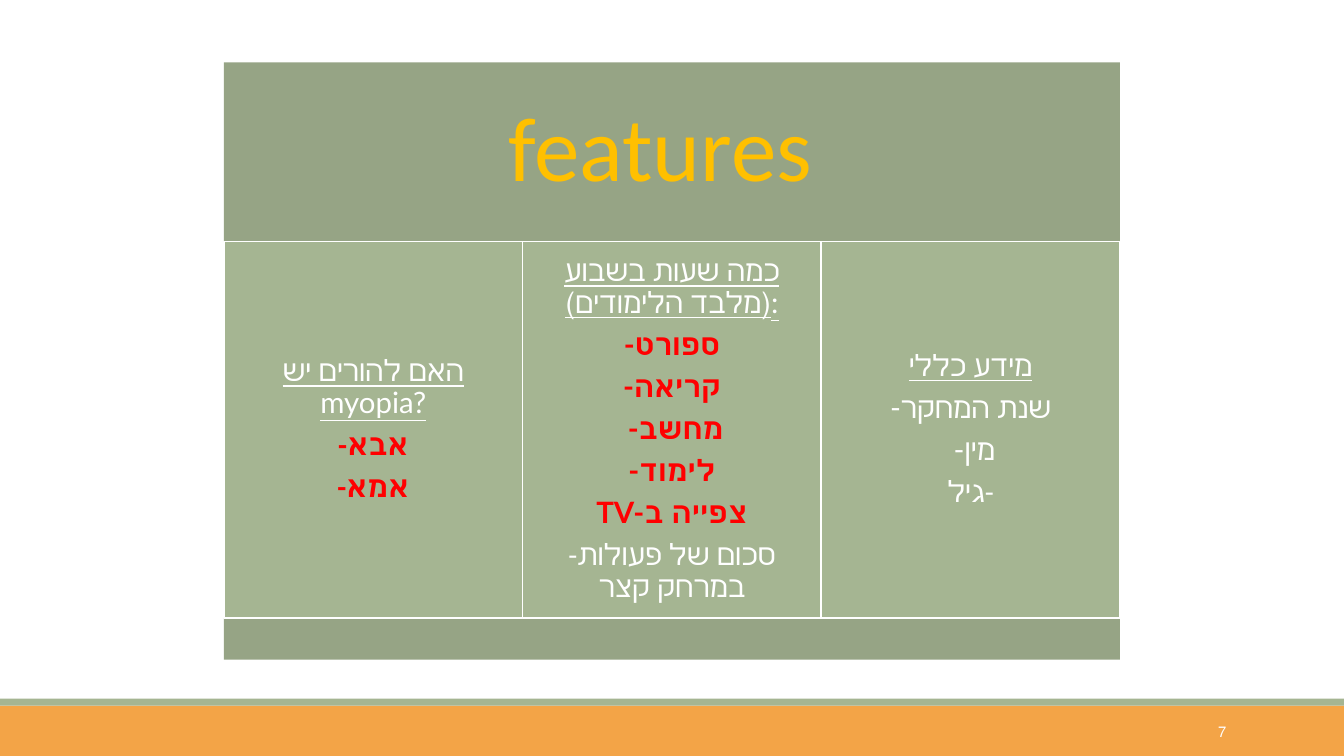
from dataclasses import dataclass

from pptx import Presentation
from pptx.dml.color import RGBColor
from pptx.enum.shapes import MSO_SHAPE as Preset
from pptx.enum.text import MSO_ANCHOR as Anchor, MSO_AUTO_SIZE as AutoSize, PP_ALIGN as Align
from pptx.util import Inches, Pt

WIDTH, HEIGHT = Inches(13.33), Inches(7.5)
COLOURS = {
    "sage": "A5B592",
    "moss": "96A485",
    "orange": "F3A447",
    "gold": "FFC000",
    "red": "FF0000",
    "white": "FFFFFF",
}
PANEL_LEFT, PANEL_TOP, PANEL_WIDTH, PANEL_HEIGHT = 1 / 6, 0.0825, 2 / 3, 0.79
HEADER_ROW, BODY_ROW, FOOTER_ROW = 0.3, 0.63, 0.07


@dataclass(frozen=True)
class Area:
    left: float
    top: float
    width: float
    height: float

    def lengths(self) -> tuple[int, int, int, int]:
        return (
            int(self.left * WIDTH),
            int(self.top * HEIGHT),
            int(self.width * WIDTH),
            int(self.height * HEIGHT),
        )


@dataclass(frozen=True)
class Line:
    text: str
    font: str = "Lato"
    colour: str = "white"
    size: float = 21
    bold: bool = False
    underline: bool = False
    align: Align = Align.CENTER
    rtl: bool = False
    spacing: float = 0.9
    after: float = 0.35


@dataclass(frozen=True)
class Bar:
    area: Area
    colour: str


def panel_row(start: float, share: float) -> Area:
    return Area(PANEL_LEFT, PANEL_TOP + start * PANEL_HEIGHT, PANEL_WIDTH, share * PANEL_HEIGHT)


def panel_column(index: int, count: int) -> Area:
    row = panel_row(HEADER_ROW, BODY_ROW)
    width = row.width / count
    return Area(row.left + index * width, row.top, width, row.height)


def colour(name: str) -> RGBColor:
    return RGBColor.from_string(COLOURS[name])


def apply(target, values: dict) -> None:
    for name, value in values.items():
        setattr(target, name, value)


def paint(shape, name: str) -> None:
    shape.fill.solid()
    shape.fill.fore_color.rgb = colour(name)


def draw_bar(page, bar: Bar):
    box = page.shapes.add_shape(Preset.RECTANGLE, *bar.area.lengths())
    box.shadow.inherit = False
    paint(box, bar.colour)
    box.line.fill.background()
    return box


def write(box, lines: list[Line], inset: float) -> None:
    frame = box.text_frame
    margin = Inches(inset)
    apply(frame, {
        "word_wrap": True,
        "auto_size": AutoSize.NONE,
        "vertical_anchor": Anchor.MIDDLE,
        "margin_left": margin,
        "margin_right": margin,
        "margin_top": margin,
        "margin_bottom": margin,
    })
    for index, line in enumerate(lines):
        para = frame.add_paragraph() if index else frame.paragraphs[0]
        apply(para, {
            "alignment": line.align,
            "line_spacing": line.spacing,
            "space_after": Pt(line.after * line.size),
        })
        if line.rtl:
            para._p.get_or_add_pPr().set("rtl", "1")
        span = para.add_run()
        span.text = line.text
        apply(span.font, {
            "name": line.font,
            "size": Pt(line.size),
            "bold": line.bold,
            "underline": line.underline,
        })
        span.font.color.rgb = colour(line.colour)


def draw_title(page, area: Area, line: Line) -> None:
    title = page.shapes.title
    apply(title, dict(zip(("left", "top", "width", "height"), area.lengths())))
    paint(title, "moss")
    write(title, [line], 0.27)


def draw_feature_box(page, area: Area, lines: list[Line]) -> None:
    box = draw_bar(page, Bar(area, "sage"))
    box.line.color.rgb = colour("white")
    box.line.width = Pt(1.25)
    write(box, lines, 0.09)


def draw_page_number(page, area: Area, line: Line) -> None:
    write(page.shapes.add_textbox(*area.lengths()), [line], 0.1)


def heading(text: str) -> Line:
    return Line(text, underline=True)


def key(text: str, font: str = "Lato") -> Line:
    return Line(text, font, "red", bold=True)


FEATURES = [
    [
        heading("האם להורים יש myopia?"),
        key("-אבא", "Calibri"),
        key("-אמא", "Calibri"),
    ],
    [
        heading("כמה שעות בשבוע (מלבד הלימודים):"),
        *map(key, ["-ספורט", "-קריאה", " -מחשב", "-לימוד", "TV-צפייה ב"]),
        Line("-סכום של פעולות במרחק קצר", "Calibri"),
    ],
    [
        heading("מידע כללי"),
        Line("-שנת המחקר"),
        Line(" -מין"),
        Line("גיל-", "Calibri"),
    ],
]
BARS = [
    Bar(Area(0, 14 / 15, 1, 1 / 15), "orange"),
    Bar(Area(0, 0.924, 1, 0.0093), "sage"),
    Bar(panel_row(HEADER_ROW + BODY_ROW, FOOTER_ROW), "moss"),
]


def main() -> None:
    deck = Presentation()
    apply(deck, {"slide_width": WIDTH, "slide_height": HEIGHT})
    page = deck.slides.add_slide(deck.slide_layouts[5])
    for bar in BARS:
        draw_bar(page, bar)
    draw_title(
        page,
        panel_row(0, HEADER_ROW),
        Line(" features", "Calibri", "gold", 65, rtl=True),
    )
    for index, lines in enumerate(FEATURES):
        draw_feature_box(page, panel_column(index, len(FEATURES)), lines)
    draw_page_number(
        page,
        Area(0.8125, 0.9417, 0.1073, 0.0533),
        Line("7", "Calibri", size=10.5, align=Align.RIGHT, rtl=True, spacing=1, after=0),
    )
    deck.save("out.pptx")


if __name__ == "__main__":
    main()
